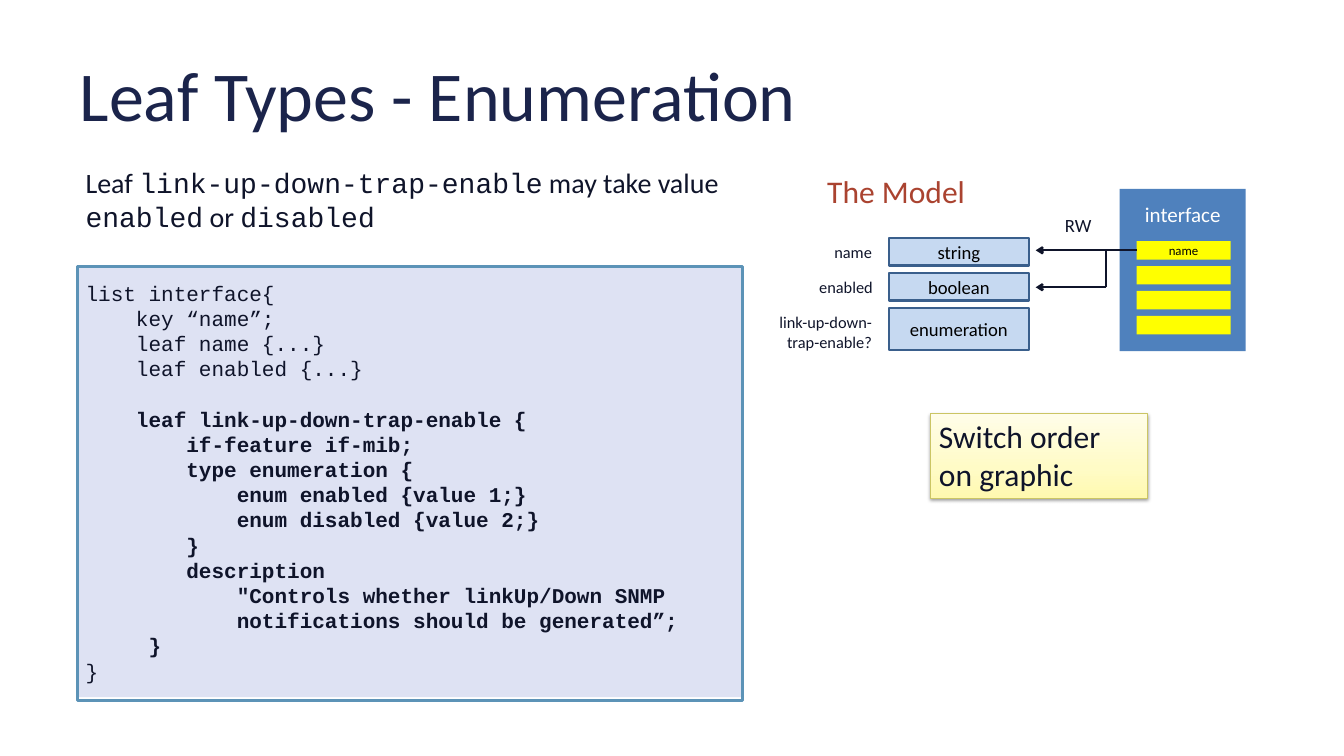
from dataclasses import dataclass

import pptx
import pptx.dml.color
import pptx.enum.shapes
import pptx.enum.text
import pptx.oxml
import pptx.oxml.ns
import pptx.util
from pptx.util import Inches, Pt

ALIGN = pptx.enum.text.PP_ALIGN
ANCHOR = pptx.enum.text.MSO_ANCHOR
INK, NAVY, RED, BLACK, WHITE = "0F142A", "1B244B", "AA4330", "000000", "FFFFFF"
SANS, MONO = "Calibri", "Courier New"
CODE_PITCH = 21.6

CODE_HEAD = """list interface{
    key “name”;
    leaf name {...}
    leaf enabled {...}"""
CODE_LEAF = """    leaf link-up-down-trap-enable {
        if-feature if-mib;
        type enumeration {
            enum enabled {value 1;}
            enum disabled {value 2;}
        }
        description
            "Controls whether linkUp/Down SNMP
            notifications should be generated”;
     }"""
CODE_END = "}"


@dataclass
class Place:
    left: float
    top: float
    width: float
    height: float

    def lengths(self) -> list:
        return [Inches(v) for v in (self.left, self.top, self.width, self.height)]


@dataclass
class Label:
    text: str
    place: Place
    size: float
    color: str = INK
    align: ALIGN = ALIGN.LEFT
    wrap: bool = False


@dataclass
class Leaf:
    name: str
    name_place: Place
    type_name: str
    top: float
    height: float


@dataclass
class Arrow:
    start: tuple
    end: tuple
    head: bool


LEAVES = [
    Leaf("name", Place(9.83, 2.83, 0.65, 0.34), "string", 2.83, 0.33),
    Leaf("enabled", Place(9.64, 3.25, 0.85, 0.34), "boolean", 3.25, 0.33),
    Leaf("link-up-down-\ntrap-enable?", Place(9.16, 3.67, 1.32, 0.57),
         "enumeration", 3.67, 0.5),
]
LABELS = [
    Label("The Model", Place(9.75, 2, 1.86, 0.56), 27, RED),
    Label("RW", Place(12.58, 2.5, 0.52, 0.37), 16),
]
NAME_Y = 2.98
ARROWS = [
    Arrow((13.53, NAME_Y), (12.33, NAME_Y), True),
    Arrow((13.17, 3.42), (12.33, 3.42), True),
    Arrow((13.17, NAME_Y), (13.17, 3.42), False),
]


def rgb(color: str) -> pptx.dml.color.RGBColor:
    return pptx.dml.color.RGBColor.from_string(color)


def style_run(run, size: float, color: str, font: str = SANS) -> None:
    run.font.size = Pt(size)
    run.font.name = font
    run.font.color.rgb = rgb(color)


def write(shape, text: str, size: float, color: str, align=ALIGN.LEFT, font: str = SANS) -> None:
    shape.text_frame.text = text
    for paragraph in shape.text_frame.paragraphs:
        paragraph.alignment = align
        for run in paragraph.runs:
            style_run(run, size, color, font)


def add_rect(shapes, place: Place, fill: str = "", line: str = "", weight: float = 2):
    rect = shapes.add_shape(pptx.enum.shapes.MSO_SHAPE.RECTANGLE, *place.lengths())
    rect.shadow.inherit = False
    if fill:
        rect.fill.solid()
        rect.fill.fore_color.rgb = rgb(fill)
    else:
        rect.fill.background()
    if line:
        rect.line.color.rgb = rgb(line)
        rect.line.width = Pt(weight)
    else:
        rect.line.fill.background()
    rect.text_frame.word_wrap = True
    rect.text_frame.vertical_anchor = ANCHOR.MIDDLE
    return rect


def add_label(shapes, label: Label):
    box = shapes.add_textbox(*label.place.lengths())
    box.text_frame.word_wrap = label.wrap
    write(box, label.text, label.size, label.color, label.align)
    return box


def add_arrow(shapes, arrow: Arrow):
    ends = [Inches(v) for v in (*arrow.start, *arrow.end)]
    connector = shapes.add_connector(pptx.enum.shapes.MSO_CONNECTOR.STRAIGHT, *ends)
    connector.line.color.rgb = rgb(INK)
    connector.line.width = Pt(2)
    if arrow.head:
        tail = pptx.oxml.parse_xml(f'<a:tailEnd {pptx.oxml.ns.nsdecls("a")} type="arrow"/>')
        connector.line._get_or_add_ln().append(tail)
    effects = pptx.oxml.parse_xml(f'<a:effectLst {pptx.oxml.ns.nsdecls("a")}/>')
    connector._element.spPr.append(effects)
    return connector


def add_code(shapes) -> None:
    panel = add_rect(shapes, Place(0.92, 3.17, 7.92, 5.13), "DEE2F3")
    write(panel, "\n".join([CODE_HEAD, CODE_LEAF, CODE_END]), 18, INK, font=MONO)
    first = len(CODE_HEAD.splitlines())
    last = first + len(CODE_LEAF.splitlines())
    paragraphs = panel.text_frame.paragraphs
    for paragraph in paragraphs:
        paragraph.line_spacing = Pt(CODE_PITCH)
    paragraphs[first].space_before = Pt(CODE_PITCH)
    for paragraph in paragraphs[first:last]:
        paragraph.runs[0].font.bold = True
    add_rect(shapes, Place(0.92, 3.17, 7.92, 5.17), line="5C93B7", weight=2.25)


def add_intro(shapes) -> None:
    intro = shapes.add_textbox(*Place(0.92, 1.92, 7.75, 0.91).lengths())
    intro.text_frame.word_wrap = True
    pieces = [("Leaf ", SANS), ("link-up-down-trap-enable", MONO),
              (" may take value ", SANS), ("enabled", MONO),
              (" or ", SANS), ("disabled", MONO)]
    for text, font in pieces:
        run = intro.text_frame.paragraphs[0].add_run()
        run.text = text
        style_run(run, 24, INK, font)


def add_interface(shapes):
    """Draw the interface block and return its name field."""
    block = shapes.add_group_shape().shapes
    add_rect(block, Place(13.33, 2.25, 1.5, 1.93), "4F81BD")
    add_label(block, Label("interface", Place(13.52, 2.35, 1.12, 0.4), 18, WHITE, ALIGN.CENTER))
    fields = [add_rect(block, Place(13.53, 2.87 + 0.297 * row, 1.12, 0.22), "FFFF00")
              for row in range(4)]
    write(fields[0], "name", 11, BLACK, ALIGN.CENTER)
    return fields[0]


def add_note(shapes) -> None:
    note = add_rect(shapes, Place(11.08, 4.92, 2.58, 1.01), line="CBC564", weight=0.75)
    note.text_frame.vertical_anchor = ANCHOR.TOP
    write(note, "Switch order on graphic", 27, INK)
    note.fill.gradient()
    note.fill.gradient_angle = 90
    namespace = pptx.oxml.ns.nsdecls("a")
    properties = note._element.spPr
    stops = properties.find(".//" + pptx.oxml.ns.qn("a:gsLst"))
    for stop in list(stops):
        stops.remove(stop)
    for percent, color in [(0, "FFF9B0"), (35, "FFFBC6"), (100, "FFFDE9")]:
        stops.append(pptx.oxml.parse_xml(
            f'<a:gs {namespace} pos="{percent * 1000}"><a:srgbClr val="{color}"/></a:gs>'))
    properties.find(pptx.oxml.ns.qn("a:effectLst")).append(pptx.oxml.parse_xml(
        f'<a:outerShdw {namespace} blurRad="{Pt(3.1)}" dist="{Pt(1.6)}" dir="5400000" '
        'rotWithShape="0"><a:srgbClr val="000000"><a:alpha val="38000"/></a:srgbClr>'
        '</a:outerShdw>'))


def main() -> None:
    deck = pptx.Presentation()
    deck.slide_width, deck.slide_height = Inches(16), Inches(9)
    shapes = deck.slides.add_slide(deck.slide_layouts[6]).shapes

    add_code(shapes)
    title = add_label(shapes, Label("Leaf Types - Enumeration", Place(0.8, 0.36, 14.4, 1.5),
                                    60, NAVY, wrap=True))
    title.text_frame.vertical_anchor = ANCHOR.MIDDLE
    title.text_frame.margin_left = title.text_frame.margin_right = Inches(0.15)
    add_intro(shapes)
    for label in LABELS:
        add_label(shapes, label)
    name_field = add_interface(shapes)
    for leaf in LEAVES:
        type_box = add_rect(shapes, Place(10.58, leaf.top, 1.67, leaf.height), "C6D9F1", "3A5F8C")
        write(type_box, leaf.type_name, 16, BLACK, ALIGN.CENTER)
        add_label(shapes, Label(leaf.name, leaf.name_place, 14, align=ALIGN.RIGHT))
    connectors = [add_arrow(shapes, arrow) for arrow in ARROWS]
    connectors[0].begin_connect(name_field, 1)
    add_note(shapes)
    deck.save("out.pptx")


if __name__ == "__main__":
    main()
